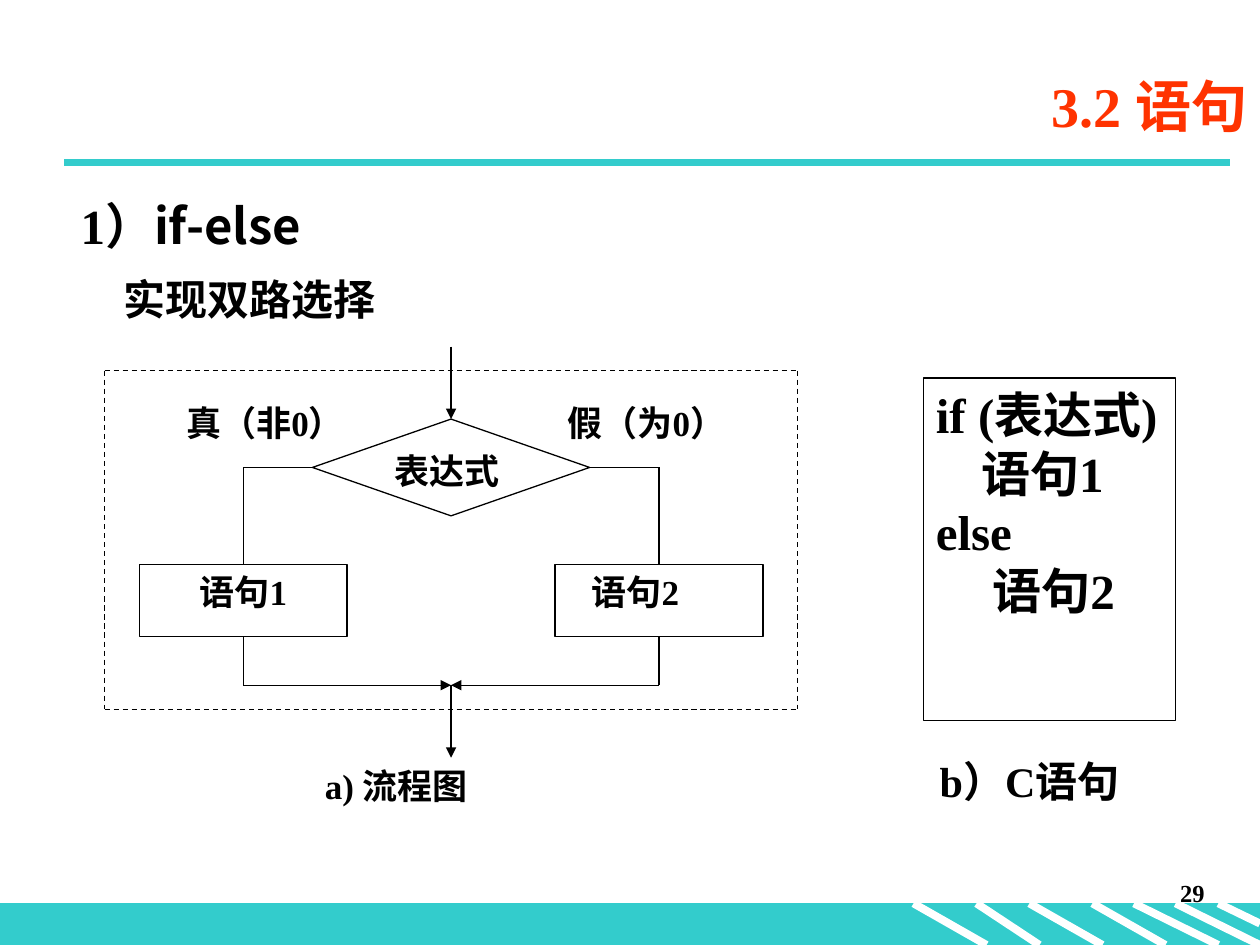
from pptx import Presentation
from pptx.dml.color import RGBColor
from pptx.enum.dml import MSO_LINE
from pptx.enum.shapes import MSO_CONNECTOR, MSO_SHAPE as Kind
from pptx.enum.text import MSO_ANCHOR as Anchor, PP_ALIGN as Align
from pptx.oxml.ns import qn
from pptx.util import Inches, Pt
from lxml.etree import SubElement

BLACK = RGBColor(0, 0, 0)
WHITE = RGBColor(255, 255, 255)
TEAL = RGBColor(0x33, 0xCC, 0xCC)
RED = RGBColor(0xFF, 0x33, 0x00)
SERIF, SANS = "Times New Roman", "Noto Sans CJK SC"

WIDE, HIGH = 10, 7.5
LEFT, TOP, COL, ROW = 0.83, 2.75, 0.275, 0.192

TITLE = "3.2 语句"
HEAD = ("1）", "if-else")
CODE = [("if (表达式)", 0), ("语句1", 0.36), ("else", 0), ("语句2", 0.45)]
NOTES = [
    ("实现双路选择", (0.88, 2.17, 8.42, 0.46), 24, Align.JUSTIFY, 4.8, 0.9),
    ("b）C语句", (7.36, 5.95, 2.25, 0.54), 24, Align.JUSTIFY, 0, 1),
    ("29", (7.58, 6.92, 2.08, 0.5), 14, Align.RIGHT, 7, 1),
]
NODES = [
    (Kind.FLOWCHART_DECISION, "表达式", (6, 3, 8, 4), 0),
    (Kind.RECTANGLE, "语句1", (1, 9, 6, 3), 0.38),
    (Kind.RECTANGLE, "语句2", (13, 9, 6, 3), 0.19),
]
LABELS = [
    ("真（非0）", (2, 2, 7, 3)),
    ("假（为0）", (13, 2, 7, 3)),
    ("a) 流程图", (6, 17, 11, 3)),
]
WIRES = [
    (4, 5, 6, 5), (14, 5, 16, 5), (4, 5, 4, 9), (16, 5, 16, 9),
    (4, 12, 4, 14), (16, 12, 16, 14),
]
ARROWS = [(10, 0, 10, 3), (4, 14, 10, 14), (16, 14, 10, 14), (10, 14, 10, 17)]
FRAME = [(0, 1, 0, 15), (20, 1, 20, 15), (0, 15, 20, 15), (0, 1, 20, 1)]
BAND = 7.17
STRIPES = [
    (7.25, 7.83, HIGH), (7.75, 8.25, HIGH), (8.17, 8.75, HIGH),
    (8.67, 9.25, HIGH), (9, 9.67, HIGH), (9.33, 10, HIGH), (9.67, 10, 7.33),
]

deck = Presentation()
deck.slide_width, deck.slide_height = Inches(WIDE), Inches(HIGH)
slide = deck.slides.add_slide(deck.slide_layouts[1])
shapes = slide.shapes


def inch(box):
    return [Inches(v) for v in box]


def spot(x, y):
    return LEFT + x * COL, TOP + y * ROW


def cell(box):
    x, y, w, h = box
    return *spot(x, y), w * COL, h * ROW


def style(part, size, color=BLACK, align=Align.JUSTIFY, above=0, lead=1):
    part.alignment = align
    part.space_before, part.line_spacing = Pt(above), lead
    for run in part.runs:
        font = run.font
        font.name, font.size, font.bold = SERIF, Pt(size), True
        font.color.rgb = color
        SubElement(font._element, qn("a:ea")).set("typeface", SANS)


def indent(part, left, first=0):
    props = part._p.get_or_add_pPr()
    props.set("marL", str(Inches(left)))
    props.set("indent", str(Inches(first)))


def note(text, box, size, *rest):
    frame = shapes.add_textbox(*inch(box)).text_frame
    frame.word_wrap = True
    frame.text = text
    style(frame.paragraphs[0], size, BLACK, *rest)


def block(kind, box, fill=WHITE, edge=BLACK):
    shape = shapes.add_shape(kind, *inch(box))
    shape.shadow.inherit = False
    shape.fill.solid()
    shape.fill.fore_color.rgb = fill
    shape.line.color.rgb, shape.line.width = edge, Pt(0.75)
    shape.text_frame.vertical_anchor = Anchor.TOP
    return shape.text_frame


def line(start, end, color=BLACK, width=0.75, arrow=False, dash=False):
    link = shapes.add_connector(MSO_CONNECTOR.STRAIGHT, *inch(start + end))
    link.line.color.rgb, link.line.width = color, Pt(width)
    if dash:
        link.line.dash_style = MSO_LINE.DASH
    if arrow:
        SubElement(link.line._get_or_add_ln(), qn("a:tailEnd")).set("type", "triangle")
    SubElement(link._element.spPr, qn("a:effectLst"))


def place(holder, box, anchor):
    holder.left, holder.top, holder.width, holder.height = inch(box)
    holder.text_frame.vertical_anchor = anchor
    return holder.text_frame


block(Kind.RECTANGLE, (0, BAND, WIDE, HIGH - BAND), TEAL, TEAL)
for x, end, low in STRIPES:
    line((x, BAND), (end, low), WHITE, 4.5)
line((0.51, 1.29), (9.76, 1.29), TEAL, 4.5)

title = place(shapes.title, (1.5, 0.44, 8.5, 0.79), Anchor.MIDDLE)
title.text = TITLE
style(title.paragraphs[0], 32, RED, Align.RIGHT)

head = place(slide.placeholders[1], (0.54, 1.5, 9.08, 0.67), Anchor.TOP).paragraphs[0]
for text in HEAD:
    head.add_run().text = text
style(head, 28, BLACK, Align.LEFT, 5.6)
head.runs[1].font.name = SANS
indent(head, 0.38, -0.38)
SubElement(head._p.get_or_add_pPr(), qn("a:buNone"))

for item in NOTES:
    note(*item)

code = block(Kind.RECTANGLE, (7.33, 3, 2, 2.72))
code.text = "\n".join(text for text, _ in CODE)
for part, (_, left) in zip(code.paragraphs, CODE):
    style(part, 28)
    indent(part, left)

for ends in WIRES + ARROWS + FRAME:
    line(spot(*ends[:2]), spot(*ends[2:]), arrow=ends in ARROWS, dash=ends in FRAME)
for kind, text, box, left in NODES:
    frame = block(kind, cell(box))
    frame.text = text
    style(frame.paragraphs[0], 20)
    indent(frame.paragraphs[0], left)
for text, box in LABELS:
    note(text, cell(box), 20)

deck.save("out.pptx")
